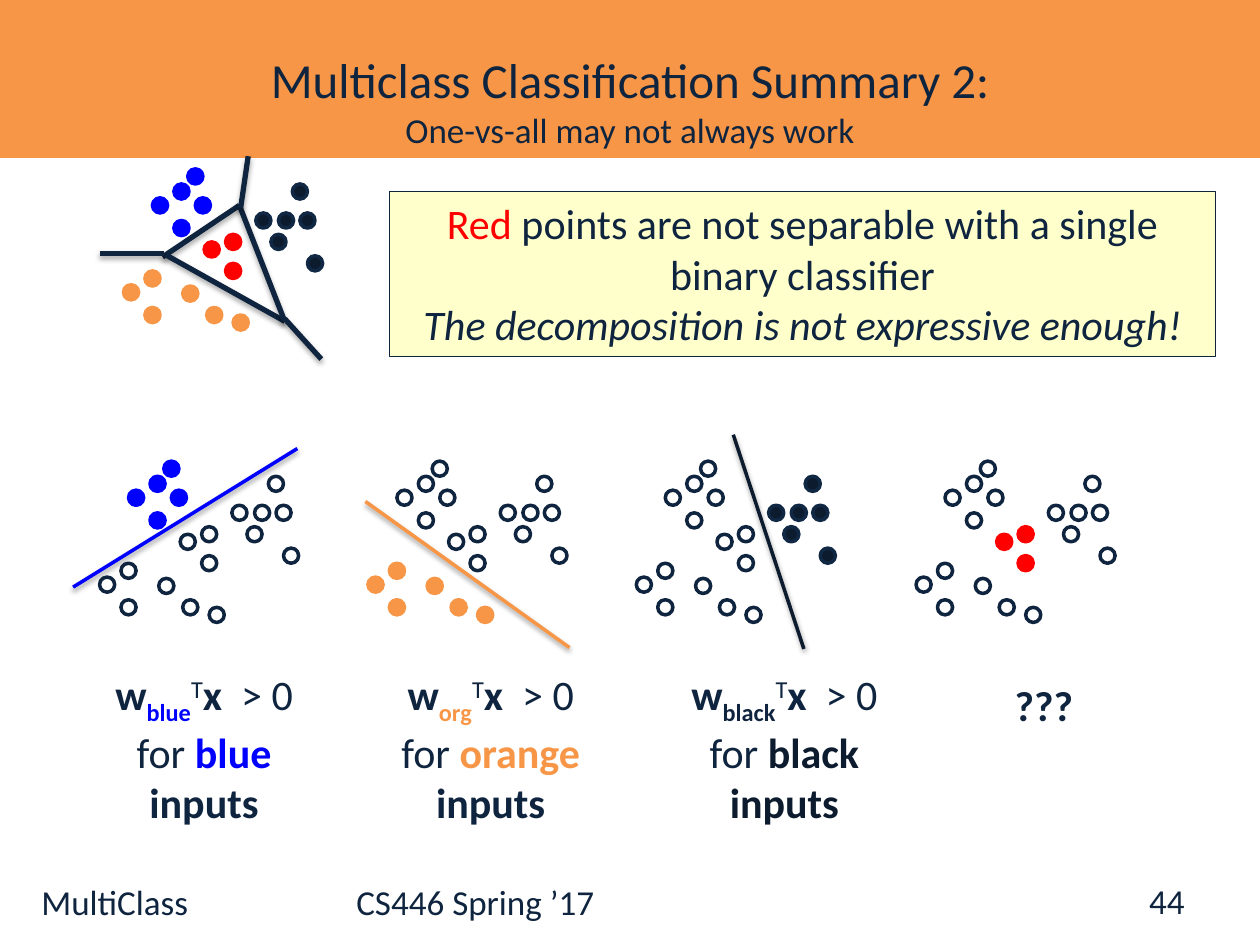
import pptx
import pptx.util
import pptx.dml.color
import pptx.enum.shapes
import pptx.enum.text
import pptx.oxml
import pptx.oxml.ns

Inches = pptx.util.Inches
Pt = pptx.util.Pt
RGBColor = pptx.dml.color.RGBColor
MSO_SHAPE = pptx.enum.shapes.MSO_SHAPE
PP_ALIGN = pptx.enum.text.PP_ALIGN
MSO_ANCHOR = pptx.enum.text.MSO_ANCHOR

NAVY = RGBColor(0x0F, 0x24, 0x3E)
BLACK = RGBColor(0x0C, 0x1B, 0x2E)
BLACK_EDGE = RGBColor(0x11, 0x28, 0x45)
BLUE = RGBColor(0x00, 0x00, 0xFF)
ORANGE = RGBColor(0xF7, 0x96, 0x46)
RED = RGBColor(0xFF, 0x00, 0x00)
WHITE = RGBColor(0xFF, 0xFF, 0xFF)
CREAM = RGBColor(0xFF, 0xFF, 0xCC)

FONT = "Calibri"
DOT_SIZE = 0.12
EDGE_COLORS = {"blue": BLUE, "red": RED, "orange": ORANGE, "black": BLACK_EDGE}
FILL_COLORS = {**EDGE_COLORS, "black": BLACK}
POINTS = {
    "blue": [(0.4, 0.12), (0.51, 0), (0.23, 0.23), (0.57, 0.23), (0.4, 0.41)],
    "red": [(0.64, 0.58), (0.81, 0.52), (0.81, 0.75)],
    "orange": [(0.87, 1.16), (0.17, 0.81), (0.47, 0.93), (0, 0.92), (0.66, 1.1), (0.17, 1.1)],
    "black": [(1.17, 0.52), (1.46, 0.69), (1.34, 0.12), (1.05, 0.35), (1.4, 0.35), (1.23, 0.35)],
}

TITLE = "Multiclass Classification Summary 2:"
SUBTITLE = "One-vs-all may not always work"
FOOTER = "MultiClass\t\t\tCS446 Spring ’17"
PAGE_NUMBER = "44"
CALLOUT = [
    [("Red", {"color": RED}), (" points are not separable with a single binary classifier", {})],
    [("The decomposition is not expressive enough!", {"italic": True})],
]


def classifier_label(subscript, color, ending):
    return [
        ("w", {"bold": True}),
        (subscript, {"bold": True, "color": color, "baseline": -25}),
        ("T", {"baseline": 30}),
        ("x ", {"bold": True}),
        (" > 0 for ", {}),
    ] + [(text, {"bold": True, "color": ending_color}) for text, ending_color in ending]


BOUNDARIES = [
    ((1.29, 2.04), (1.9, 1.63)),
    ((1.31, 2.02), (2.26, 2.55)),
    ((1.9, 1.63), (2.26, 2.55)),
    ((2.26, 2.53), (2.55, 2.85)),
    ((1.91, 1.65), (1.97, 1.24)),
    ((0.79, 2.01), (1.3, 2.01)),
]
OVERVIEW_ORIGIN = (0.98, 1.34)
PANEL_TOP = 3.66
PANELS = [
    {"left": 0.79, "filled": "blue", "line": ((0.58, 4.66), (2.36, 3.56), BLUE),
     "label_box": (0.69, 5.26, 1.86, 1.31),
     "label": classifier_label("blue", BLUE, [("blue ", BLUE), ("inputs", NAVY)])},
    {"left": 2.92, "filled": "orange", "line": ((2.9, 3.98), (4.52, 5.14), ORANGE),
     "label_box": (2.93, 5.26, 1.93, 1.31),
     "label": classifier_label("org", ORANGE, [("orange", ORANGE), (" inputs", NAVY)])},
    {"left": 5.05, "filled": "black", "line": ((5.82, 3.45), (6.38, 5.15), BLACK),
     "label_box": (5.18, 5.26, 2.09, 1.31),
     "label": classifier_label("black", NAVY, [("black inputs", BLACK)])},
    {"left": 7.27, "filled": "red", "line": None,
     "label_box": (7.78, 5.34, 1.01, 0.5),
     "label": [("???", {"bold": True})]},
]


def add_run(paragraph, text, size=24, color=NAVY, bold=False, italic=False, baseline=0):
    run = paragraph.add_run()
    run.text = text
    font = run.font
    font.name, font.size, font.bold, font.italic = FONT, Pt(size), bold, italic
    font.color.rgb = color
    if baseline:
        run._r.get_or_add_rPr().set("baseline", str(baseline * 1000))


def write_paragraphs(text_frame, paragraphs, alignment, anchor=MSO_ANCHOR.TOP):
    text_frame.word_wrap = True
    text_frame.vertical_anchor = anchor
    for index, runs in enumerate(paragraphs):
        paragraph = text_frame.paragraphs[0] if index == 0 else text_frame.add_paragraph()
        paragraph.alignment = alignment
        for text, style in runs:
            add_run(paragraph, text, **style)


def add_text(shapes, box, paragraphs, alignment, anchor=MSO_ANCHOR.TOP):
    shape = shapes.add_textbox(*map(Inches, box))
    write_paragraphs(shape.text_frame, paragraphs, alignment, anchor)


def add_filled_shape(shapes, kind, box, fill, edge, width):
    shape = shapes.add_shape(kind, *map(Inches, box))
    shape.shadow.inherit = False
    shape.fill.solid()
    shape.fill.fore_color.rgb = fill
    shape.line.color.rgb = edge
    shape.line.width = Pt(width)
    return shape


def add_boundary(shapes, start, end, color, width, shadow_alpha, shadow_distance):
    connector = shapes.add_connector(
        pptx.enum.shapes.MSO_CONNECTOR.STRAIGHT, *map(Inches, start + end))
    connector.line.color.rgb = color
    connector.line.width = Pt(width)
    connector._element.spPr.append(pptx.oxml.parse_xml(
        f'<a:effectLst {pptx.oxml.ns.nsdecls("a")}>'
        f'<a:outerShdw blurRad="{Pt(3.1)}" dist="{Pt(shadow_distance)}" dir="5400000" '
        f'rotWithShape="0"><a:srgbClr val="000000"><a:alpha val="{shadow_alpha * 1000}"/>'
        '</a:srgbClr></a:outerShdw></a:effectLst>'))


def add_points(shapes, left, top, filled):
    for name, offsets in POINTS.items():
        fill, edge = (FILL_COLORS[name], EDGE_COLORS[name]) if name in filled else (WHITE, NAVY)
        for x, y in offsets:
            add_filled_shape(shapes, MSO_SHAPE.OVAL, (left + x, top + y, DOT_SIZE, DOT_SIZE),
                             fill, edge, 2)


def main():
    presentation = pptx.Presentation()
    presentation.slide_width, presentation.slide_height = Inches(10), Inches(7.5)
    slide = presentation.slides.add_slide(presentation.slide_layouts[5])
    shapes = slide.shapes

    band = add_filled_shape(shapes, MSO_SHAPE.RECTANGLE, (0, 0, 10, 1.25), ORANGE, ORANGE, 0.75)
    shapes._spTree.insert(2, band._element)

    title = shapes.title
    title.left, title.top, title.width, title.height = map(Inches, (0.5, 0.17, 9, 1.25))
    write_paragraphs(title.text_frame, [[(TITLE, {"size": 28})]],
                     PP_ALIGN.CENTER, MSO_ANCHOR.MIDDLE)
    title_paragraph = title.text_frame.paragraphs[0]
    title_paragraph.add_line_break()
    add_run(title_paragraph, SUBTITLE, size=20)

    add_text(shapes, (0.23, 6.94, 9.6, 0.56), [[(FOOTER, {"size": 20})]], PP_ALIGN.LEFT)
    add_text(shapes, (7.17, 6.95, 2.33, 0.4), [[(PAGE_NUMBER, {"size": 20})]],
             PP_ALIGN.RIGHT, MSO_ANCHOR.MIDDLE)

    callout = add_filled_shape(shapes, MSO_SHAPE.RECTANGLE, (3.09, 1.52, 6.56, 1.31),
                               CREAM, NAVY, 0.75)
    write_paragraphs(callout.text_frame, CALLOUT, PP_ALIGN.CENTER)

    overview = shapes.add_group_shape().shapes
    for start, end in BOUNDARIES:
        add_boundary(overview, start, end, NAVY, 3, 35, 1.8)
    add_points(overview, *OVERVIEW_ORIGIN, list(POINTS))

    for panel in PANELS:
        group = shapes.add_group_shape().shapes
        if panel["line"]:
            add_boundary(group, *panel["line"], 2, 38, 1.6)
        add_points(group, panel["left"], PANEL_TOP, [panel["filled"]])
        add_text(group, panel["label_box"], [panel["label"]], PP_ALIGN.CENTER)

    presentation.save("out.pptx")


if __name__ == "__main__":
    main()
